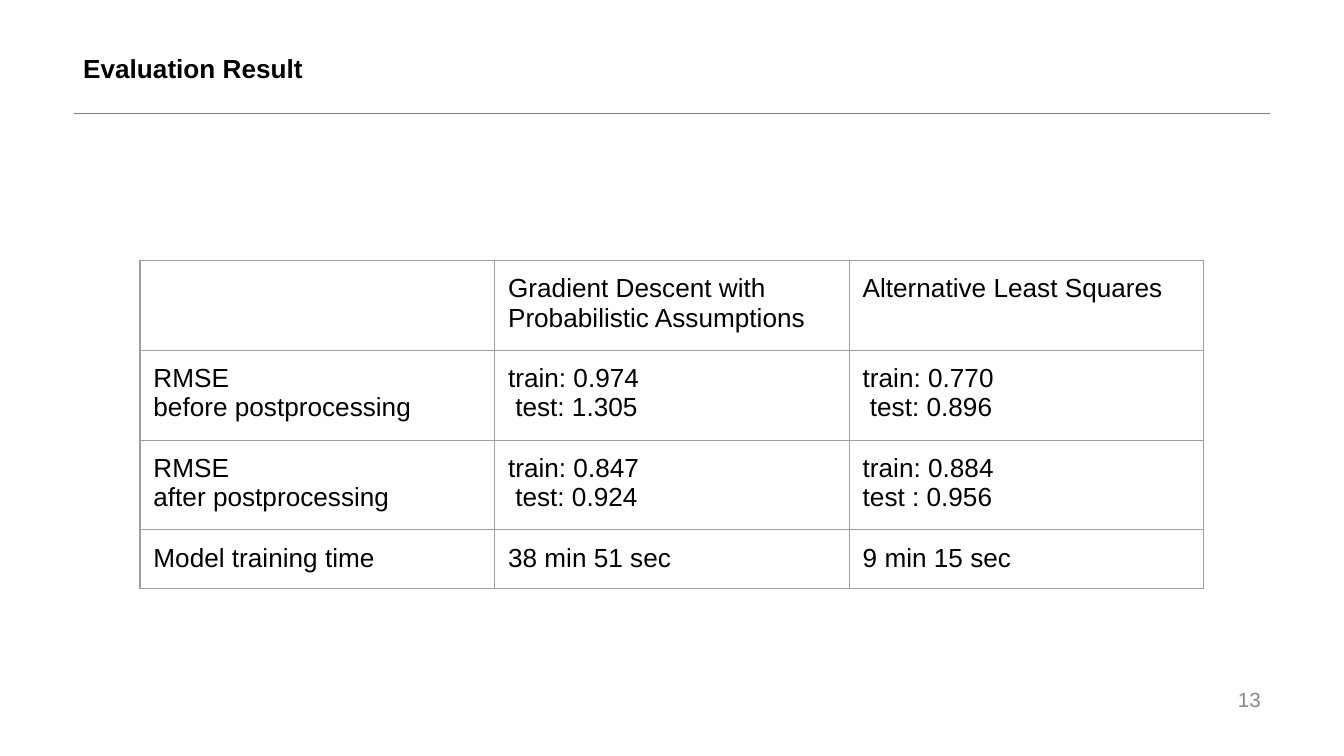
from lxml.etree import SubElement
from pptx import Presentation
from pptx.dml.color import RGBColor
from pptx.enum.shapes import MSO_CONNECTOR
from pptx.enum.text import MSO_ANCHOR, PP_ALIGN
from pptx.oxml.ns import qn
from pptx.util import Pt

BLACK = RGBColor(0x00, 0x00, 0x00)
RULE_GRAY = RGBColor(0x7F, 0x7F, 0x7F)
NUMBER_GRAY = RGBColor(0x88, 0x88, 0x88)
BORDER_GRAY = RGBColor(0x9E, 0x9E, 0x9E)

FONT = "Arial"
LEFT = 39.6
CONTENT_WIDTH = 640.8
COLUMN_WIDTH = 190
ROW_HEIGHT = 30.2
CELL_MARGIN = 7.2

RESULTS = [
    ["", "Gradient Descent with Probabilistic Assumptions", "Alternative Least Squares"],
    ["RMSE\nbefore postprocessing", "train: 0.974\n test: 1.305", "train: 0.770\n test: 0.896"],
    ["RMSE\nafter postprocessing", "train: 0.847\n test: 0.924", "train: 0.884\ntest : 0.956"],
    ["Model training time", "38 min 51 sec", "9 min 15 sec"],
]


def write_text(text_frame, text, size, color=BLACK, bold=False, alignment=PP_ALIGN.LEFT):
    """Write each line of the text as a paragraph with one run."""
    for index, line in enumerate(text.split("\n")):
        paragraph = text_frame.add_paragraph() if index else text_frame.paragraphs[0]
        paragraph.alignment = alignment
        run = paragraph.add_run()
        run.text = line
        run.font.name = FONT
        run.font.size = Pt(size)
        run.font.bold = bold
        run.font.color.rgb = color


def add_text_box(slide, left, top, width, height, text, size, **style):
    shape = slide.shapes.add_textbox(Pt(left), Pt(top), Pt(width), Pt(height))
    text_frame = shape.text_frame
    text_frame.word_wrap = True
    text_frame.vertical_anchor = MSO_ANCHOR.MIDDLE
    text_frame.margin_left = text_frame.margin_right = Pt(5)
    text_frame.margin_top = text_frame.margin_bottom = Pt(2.9)
    write_text(text_frame, text, size, **style)


def add_rule(slide, left, top, width):
    connector = slide.shapes.add_connector(
        MSO_CONNECTOR.STRAIGHT, Pt(left), Pt(top), Pt(left + width), Pt(top))
    connector.line.color.rgb = RULE_GRAY
    connector.line.width = Pt(0.75)
    SubElement(connector.element.spPr, qn("a:effectLst"))


def set_borders(cell):
    properties = cell._tc.get_or_add_tcPr()
    for position, side in enumerate(("lnL", "lnR", "lnT", "lnB")):
        border = properties.makeelement(qn(f"a:{side}"), {"w": str(Pt(0.75))})
        fill = SubElement(border, qn("a:solidFill"))
        SubElement(fill, qn("a:srgbClr"), val=str(BORDER_GRAY))
        properties.insert(position, border)


def add_results_table(slide, left, top):
    row_count, column_count = len(RESULTS), len(RESULTS[0])
    table = slide.shapes.add_table(
        row_count, column_count, Pt(left), Pt(top),
        Pt(COLUMN_WIDTH * column_count), Pt(ROW_HEIGHT * row_count)).table
    table.first_row = table.horz_banding = False
    for row, texts in zip(table.rows, RESULTS):
        row.height = Pt(ROW_HEIGHT)
        for cell, text in zip(row.cells, texts):
            cell.margin_left = cell.margin_right = Pt(CELL_MARGIN)
            cell.margin_top = cell.margin_bottom = Pt(CELL_MARGIN)
            cell.fill.background()
            set_borders(cell)
            if text:
                write_text(cell.text_frame, text, 14)


def main():
    presentation = Presentation()
    presentation.slide_width = Pt(720)
    presentation.slide_height = Pt(405)
    slide = presentation.slides.add_slide(presentation.slide_layouts[6])

    add_rule(slide, LEFT, 60.7, CONTENT_WIDTH)
    add_text_box(slide, LEFT, 6, CONTENT_WIDTH, 60.5, "Evaluation Result", 14, bold=True)
    add_text_box(slide, 508.4, 368.7, 172, 12.2, "13", 11,
                 color=NUMBER_GRAY, alignment=PP_ALIGN.RIGHT)
    add_results_table(slide, 75, 139.7)

    presentation.save("out.pptx")


if __name__ == "__main__":
    main()
